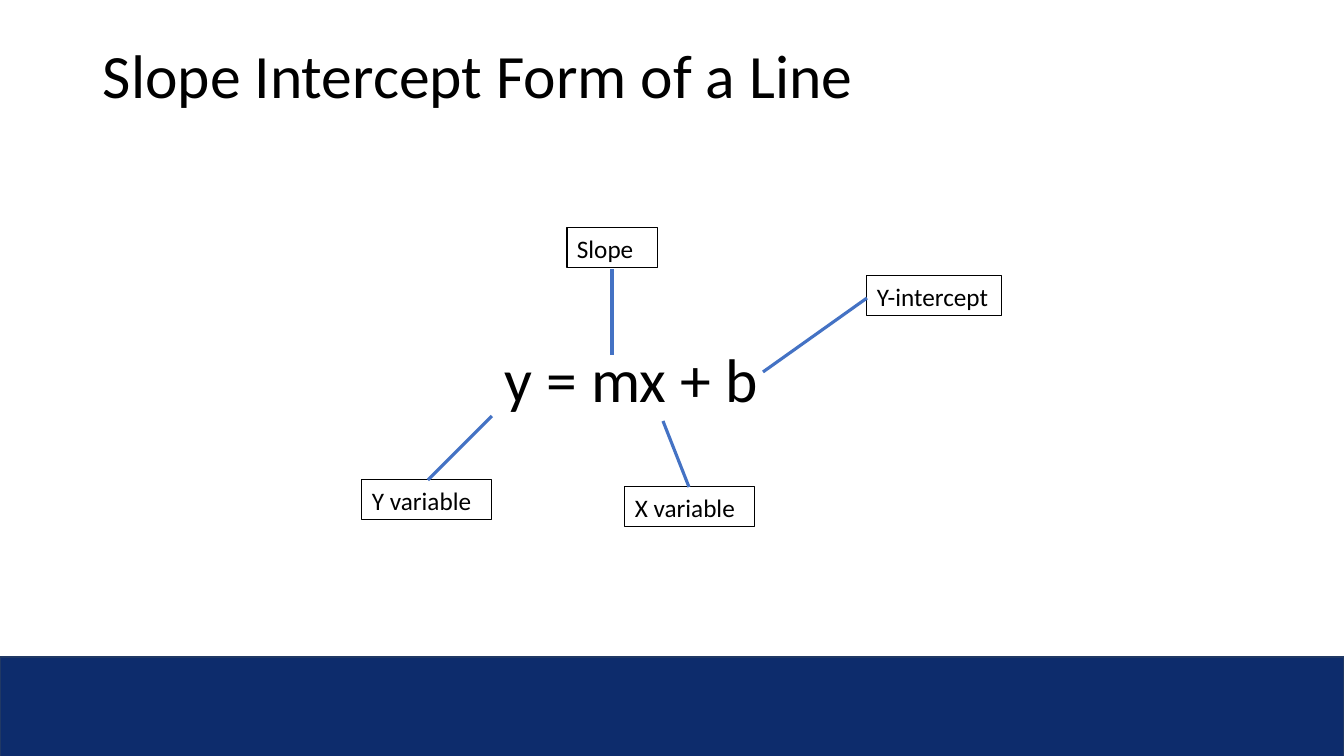
"""Build the slide that labels the parts of the slope intercept equation."""
from lxml import etree
from pptx import Presentation
from pptx import util as u
from pptx.dml.color import RGBColor
from pptx.enum import shapes
from pptx.oxml.ns import qn


def px(n):
    return u.Emu(round(n * 914400 / 100.8))


def add_text(s, words, box, size):
    tb = s.shapes.add_textbox(*map(px, box))
    tf = tb.text_frame
    tf.word_wrap = True
    tf.text = words
    font = tf.paragraphs[0].runs[0].font
    font.name = "Calibri"
    font.size = u.Pt(size)
    font.color.rgb = RGBColor.from_string("000000")
    return tb


prs = Presentation()
prs.slide_width, prs.slide_height = px(1344), px(756)
s = prs.slides.add_slide(prs.slide_layouts[6])

band = s.shapes.add_shape(shapes.MSO_SHAPE.RECTANGLE, *map(px, (0, 657, 1344, 100)))
band.shadow.inherit = False
band.fill.solid()
band.fill.fore_color.rgb = RGBColor.from_string("0D2C6C")
band.line.color.rgb = RGBColor.from_string("203864")
band.line.width = u.Pt(1)

title = add_text(s, "Slope Intercept Form of a Line", (93, 40, 1159, 146), 44)
title.text_frame.paragraphs[0].line_spacing = 0.9

equation = add_text(s, "y = mx + b", (505, 341, 389, 75), 44)
tf = equation.text_frame
tf.margin_left = tf.margin_right = tf.margin_top = tf.margin_bottom = 0

labels = [
    ("Y variable", (362, 480, 130, 40), (428, 480, 492, 416)),
    ("X variable", (625, 487, 130, 40), (689, 487, 663, 421)),
    ("Slope", (567, 228, 91, 40), (612, 355, 612, 269)),
    ("Y-intercept", (867, 276, 135, 40), (763, 372, 867, 298)),
]
for words, box, ends in labels:
    tb = add_text(s, words, box, 18)
    tb.line.color.rgb = RGBColor.from_string("000000")
    tb.line.width = u.Pt(0.75)

    pointer = s.shapes.add_connector(shapes.MSO_CONNECTOR.STRAIGHT, *map(px, ends))
    pointer.line.color.rgb = RGBColor.from_string("4472C4")
    pointer.line.width = u.Pt(2.25)
    etree.SubElement(pointer._element.spPr, qn("a:effectLst"))

prs.save("out.pptx")
